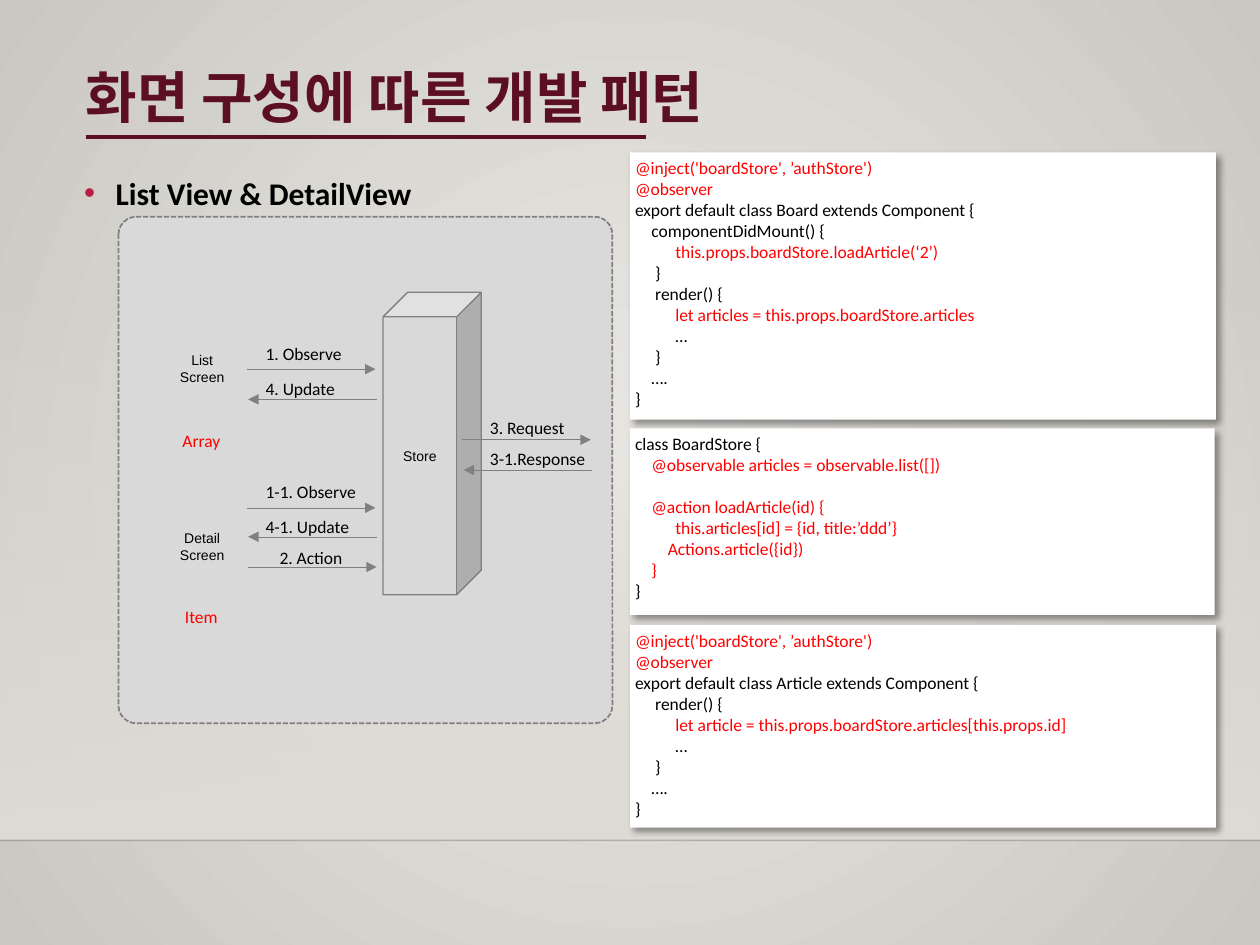
from lxml import etree
from pptx import Presentation
from pptx.dml.color import RGBColor
from pptx.enum.dml import MSO_LINE
from pptx.enum.shapes import MSO_CONNECTOR, MSO_SHAPE
from pptx.enum.text import MSO_ANCHOR, MSO_AUTO_SIZE, PP_ALIGN
from pptx.oxml import parse_xml
from pptx.oxml.ns import nsdecls, qn
from pptx.util import Inches, Pt

STRAIGHT = MSO_CONNECTOR.STRAIGHT
RECT, ROUND, CUBE = MSO_SHAPE.RECTANGLE, MSO_SHAPE.ROUNDED_RECTANGLE, MSO_SHAPE.CUBE
TOP, MIDDLE = MSO_ANCHOR.TOP, MSO_ANCHOR.MIDDLE
LEFT, CENTER = PP_ALIGN.LEFT, PP_ALIGN.CENTER

WINE = RGBColor(0x5C, 0x0F, 0x21)
RED = RGBColor(0xFF, 0, 0)
BLACK = RGBColor(0, 0, 0)
WHITE = RGBColor(0xFF, 0xFF, 0xFF)
GRAY = RGBColor(0x80, 0x80, 0x80)
PANEL = RGBColor(0xD9, 0xD9, 0xD9)
BLOCK = RGBColor(0xDA, 0xDA, 0xDA)

# Content
TITLE = "화면 구성에 따른 개발 패턴"
HEADING = "List View & DetailView"

# text, shape, left, top, width, height, corner (None keeps the preset)
BLOCKS = [
    ("List\vScreen", ROUND, 1.25, 2.49, 0.71, 0.87, 0.064),
    ("Detail\vScreen", ROUND, 1.25, 3.9, 0.71, 0.87, 0.064),
    ("Store", CUBE, 3.04, 2.32, 0.78, 2.4, None),
]
# left, y, points right
ARROW_LENGTH = 1.02
ARROWS = [
    (1.96, 2.93, True), (1.97, 3.17, False),
    (1.96, 4.03, True), (1.97, 4.26, False), (1.97, 4.5, True),
    (3.67, 3.49, True), (3.68, 3.73, False),
]
# lines, left, top, width, height, colour
LABELS = [
    ("Array", 1.35, 3.36, 0.53, 0.27, RED),
    ("Item", 1.37, 4.76, 0.46, 0.27, RED),
    ("1. Observe", 2.01, 2.67, 0.83, 0.27, BLACK),
    ("4. Update", 2.01, 2.95, 0.76, 0.27, BLACK),
    ("1-1. Observe", 2.01, 3.77, 0.95, 0.27, BLACK),
    ("4-1. Update", 2.01, 4.05, 0.87, 0.27, BLACK),
    ("2. Action", 2.12, 4.29, 0.72, 0.27, BLACK),
    ("3. Request\n3-1.Response", 3.79, 3.26, 0.96, 0.77, BLACK),
]

# Code lines: indent, text, colour, blank lines before
SPACES, TAB = 0.13, 0.16
HEADER = [
    (0, "@inject('boardStore', ’authStore')", RED, 0),
    (0, "@observer", RED, 0),
]
FOOTER = [
    (2 * TAB, "…", BLACK, 0),
    (TAB, "}", BLACK, 0),
    (SPACES, "….", BLACK, 0),
    (0, "}", BLACK, 0),
]
BOARD = HEADER + [
    (0, "export default class Board extends Component {", BLACK, 0),
    (SPACES, "componentDidMount() {", BLACK, 0),
    (2 * TAB, "this.props.boardStore.loadArticle(‘2’)", RED, 0),
    (TAB, "}", BLACK, 0),
    (TAB, "render() {", BLACK, 0),
    (2 * TAB, "let articles = this.props.boardStore.articles", RED, 0),
] + FOOTER
STORE = [
    (0, "class BoardStore {", BLACK, 0),
    (SPACES, "@observable articles = observable.list([])", RED, 0),
    (SPACES, "@action loadArticle(id) {", RED, 1),
    (2 * TAB, "this.articles[id] = {id, title:’ddd’}", RED, 0),
    (2 * SPACES, "Actions.article({id})", RED, 0),
    (SPACES, "}", RED, 0),
    (0, "}", BLACK, 0),
]
ARTICLE = HEADER + [
    (0, "export default class Article extends Component {", BLACK, 0),
    (TAB, "render() {", BLACK, 0),
    (2 * TAB, "let article = this.props.boardStore.articles[this.props.id]", RED, 0),
] + FOOTER
# lines, top, width, height
CODE_LEFT = 5
CODE_BOXES = [(BOARD, 1.21, 4.65, 2.12), (STORE, 3.4, 4.64, 1.48), (ARTICLE, 4.96, 4.65, 1.61)]


def inches(*values):
    return [Inches(v) for v in values]


def gradient(stops, direction):
    gs = "".join(f'<a:gs pos="{pos}"><a:srgbClr val="{color}"><a:alpha val="{alpha}"/></a:srgbClr></a:gs>'
                 for pos, color, alpha in stops)
    return parse_xml(f'<a:gradFill {nsdecls("a")} rotWithShape="1"><a:gsLst>{gs}</a:gsLst>{direction}</a:gradFill>')


def replace_gradient(fill, parent, new):
    fill.gradient()
    parent.replace(parent.find(qn("a:gradFill")), new)


def style(p, size, font, color, bold=False):
    for r in p.runs:
        r.font.size, r.font.name, r.font.bold = Pt(size), font, bold
        r.font.color.rgb = color


def set_frame(tf, inset, anchor, wrap=True):
    tf.margin_left = tf.margin_right = tf.margin_top = tf.margin_bottom = Inches(inset)
    tf.vertical_anchor, tf.word_wrap = anchor, wrap


def add_box(s, kind, box, color, corner=None):
    sp = s.shapes.add_shape(kind, *inches(*box))
    sp.shadow.inherit = False
    sp.fill.solid()
    sp.fill.fore_color.rgb = color
    sp.line.fill.background()
    if corner is not None:
        sp.adjustments[0] = corner
    return sp


def outline(line, color, width):
    line.color.rgb, line.width = color, Pt(width)


def add_line(s, x1, x2, y, color, width):
    c = s.shapes.add_connector(STRAIGHT, *inches(x1, y, x2, y))
    outline(c.line, color, width)
    etree.SubElement(c._element.spPr, qn("a:effectLst"))
    return c


prs = Presentation()
prs.slide_width, prs.slide_height = inches(10, 7.5)
s = prs.slides.add_slide(prs.slide_layouts[5])

# Background, soft band and floor line
bg = s.background.fill
bg.gradient()
bg_pr = s._element.cSld.find(qn("p:bg")).find(qn("p:bgPr"))
replace_gradient(bg, bg_pr, gradient(
    [(0, "ECEAE7", 100000), (100000, "CAC7C1", 100000)],
    '<a:path path="circle"><a:fillToRect l="50000" t="50000" r="50000" b="50000"/></a:path>'))
band = add_box(s, RECT, (0, 2.2, 10, 4.46), PANEL)
replace_gradient(band.fill, band._element.spPr, gradient(
    [(0, "DFDBD5", 0), (100000, "DFDBD5", 100000)], '<a:lin ang="5400000" scaled="0"/>'))
floor = add_line(s, 0, 10, 6.67, BLACK, 1)
floor_color = floor.line._ln.find(qn("a:solidFill"))[0]
etree.SubElement(floor_color, qn("a:alpha"), val="20000")

# Title and its rule
add_line(s, 0.68, 5.13, 1.09, WINE, 2.5)
title = s.shapes.title
title.left, title.top, title.width, title.height = inches(0.68, 0.53, 7.19, 0.54)
title.text_frame.text = TITLE
set_frame(title.text_frame, 0, MIDDLE)
title.text_frame.auto_size = MSO_AUTO_SIZE.NONE
p = title.text_frame.paragraphs[0]
p.alignment, p.line_spacing = LEFT, 0.9
style(p, 32, "Arial", WINE, True)

# Bulleted heading
tf = s.shapes.add_textbox(*inches(0.57, 1.27, 4.3, 0.45)).text_frame
tf.word_wrap = True
p = tf.paragraphs[0]
p.text, p.line_spacing = HEADING, 1.2
style(p, 18, "Calibri", BLACK, True)
pPr = p._p.get_or_add_pPr()
pPr.set("marL", str(Inches(0.25)))
pPr.set("indent", str(-Inches(0.25)))
bullet_color = etree.SubElement(pPr, qn("a:buClr"))
etree.SubElement(bullet_color, qn("a:srgbClr"), val="B71E42")
etree.SubElement(pPr, qn("a:buFont"), typeface="Arial")
etree.SubElement(pPr, qn("a:buChar"), char="•")

# Diagram panel and blocks
panel = add_box(s, ROUND, (0.94, 1.72, 3.92, 4.02), PANEL, 0.036)
outline(panel.line, GRAY, 1)
panel.line.dash_style = MSO_LINE.SQUARE_DOT
for text, kind, *box, corner in BLOCKS:
    sp = add_box(s, kind, box, BLOCK, corner)
    if kind == CUBE:
        outline(sp.line, GRAY, 0.75)
    set_frame(sp.text_frame, 0, MIDDLE, False)
    p = sp.text_frame.paragraphs[0]
    p.text, p.alignment = text, CENTER
    style(p, 8, "Arial", BLACK)

# Arrows and labels
for x, y, points_right in ARROWS:
    arrow = add_line(s, x, x + ARROW_LENGTH, y, GRAY, 0.25)
    end = "a:tailEnd" if points_right else "a:headEnd"
    etree.SubElement(arrow.line._ln, qn(end), type="triangle")
for text, *box, color in LABELS:
    tf = s.shapes.add_textbox(*inches(*box)).text_frame
    tf.text, tf.word_wrap = text, False
    tf.auto_size = MSO_AUTO_SIZE.SHAPE_TO_FIT_TEXT
    for p in tf.paragraphs:
        style(p, 10, "Calibri", color)
        if len(tf.paragraphs) > 1:
            p.space_after = Pt(6)

# Code boxes
for lines, top, width, height in CODE_BOXES:
    sp = add_box(s, RECT, (CODE_LEFT, top, width, height), WHITE)
    sp._element.spPr.find(qn("a:effectLst")).append(parse_xml(
        f'<a:outerShdw {nsdecls("a")} blurRad="{Pt(4)}" dist="{Pt(3)}" dir="2700000" algn="tl" rotWithShape="0">'
        '<a:srgbClr val="000000"><a:alpha val="40000"/></a:srgbClr></a:outerShdw>'))
    tf = sp.text_frame
    set_frame(tf, 0.04, TOP)
    tf.text = "\n".join(text for _, text, _, _ in lines)
    for p, (indent, _, color, blanks) in zip(tf.paragraphs, lines):
        p.alignment, p.line_spacing, p.space_before = LEFT, Pt(12), Pt(12 * blanks)
        p._p.get_or_add_pPr().set("marL", str(Inches(indent)))
        style(p, 10, "Calibri", color)

prs.save("out.pptx")
